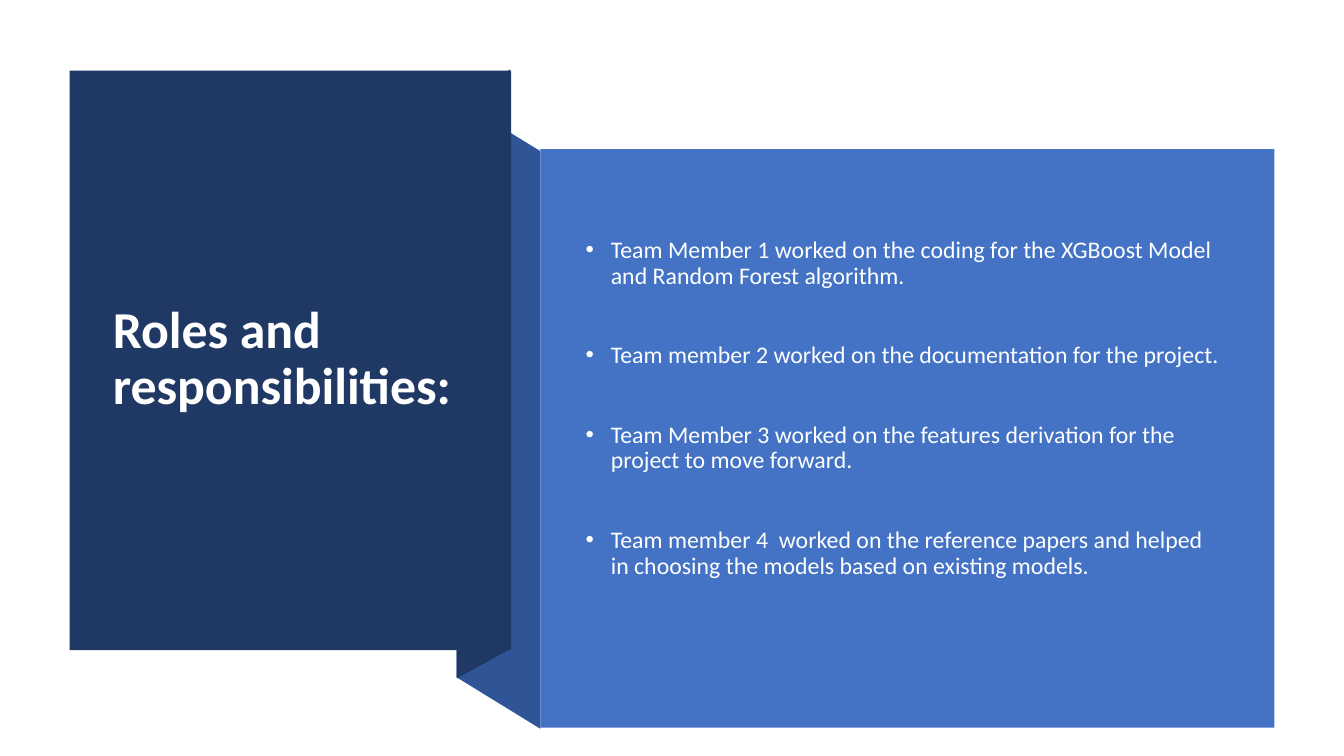
import pptx
import pptx.dml.color
import pptx.enum.text
import pptx.oxml
import pptx.oxml.ns
import pptx.util
from pptx.enum.shapes import MSO_SHAPE
from pptx.util import Inches

NAVY = "203864"
FOLD_BLUE = "2F5597"
PANEL_BLUE = "4472C4"
WHITE = "FFFFFF"
BODY_WHITE = "FEFFFF"


def color(value):
    return pptx.dml.color.RGBColor.from_string(value)


def write(para, text, *, font, size, fill, bold=False, before=0, bullet=False):
    para.line_spacing = 0.9
    para.space_before = pptx.util.Pt(before)
    span = para.add_run()
    span.text = text
    span.font.name = font
    span.font.size = pptx.util.Pt(size)
    span.font.bold = bold
    span.font.color.rgb = color(fill)
    if bullet:
        properties = para._p.get_or_add_pPr()
        properties.set("marL", str(Inches(0.25)))
        properties.set("indent", str(Inches(-0.25)))
        namespace = pptx.oxml.ns.nsdecls("a")
        for markup in ('buFont {} typeface="Arial"', 'buChar {} char="•"'):
            properties.append(pptx.oxml.parse_xml("<a:" + markup.format(namespace) + "/>"))


class SlideBuilder:
    def __init__(self, page, font):
        self.page = page
        self.font = font

    def finish(self, shape, fill):
        shape.shadow.inherit = False
        shape.fill.solid()
        shape.fill.fore_color.rgb = color(fill)
        shape.line.fill.background()

    def outline(self, points, fill):
        corners = [(Inches(x), Inches(y)) for x, y in points]
        builder = self.page.shapes.build_freeform(*corners[0])
        builder.add_line_segments(corners[1:], close=True)
        self.finish(builder.convert_to_shape(), fill)

    def panel(self, left, top, width, height, fill):
        place = map(Inches, (left, top, width, height))
        self.finish(self.page.shapes.add_shape(MSO_SHAPE.RECTANGLE, *place), fill)

    def text(self, left, top, width, height, lines, *, gap=0, bottom=0.05, **style):
        place = map(Inches, (left, top, width, height))
        frame = self.page.shapes.add_textbox(*place).text_frame
        frame.word_wrap = True
        frame.vertical_anchor = pptx.enum.text.MSO_ANCHOR.MIDDLE
        frame.margin_bottom = Inches(bottom)
        for index, line in enumerate(lines):
            para = frame.add_paragraph() if index else frame.paragraphs[0]
            write(para, line, font=self.font, before=gap if index else 0, **style)


deck = pptx.Presentation()
deck.slide_width = Inches(13.33)
deck.slide_height = Inches(7.5)
slide = SlideBuilder(deck.slides.add_slide(deck.slide_layouts[6]), "Calibri")

slide.outline([(5.36, 7.23), (4.53, 6.72), (4.53, 0.99), (5.36, 1.5)], FOLD_BLUE)
slide.outline([(5.06, 6.44), (4.53, 6.73), (4.53, 0.98), (5.06, 0.69)], NAVY)
slide.panel(0.69, 0.7, 4.38, 5.75, NAVY)
slide.text(1.02, 1.07, 3.71, 4.99, ["Roles and responsibilities:"],
           size=37, fill=WHITE, bold=True)

roles = [
    "Team Member 1 worked on the coding for the XGBoost Model and Random Forest algorithm.",
    "Team member 2 worked on the documentation for the project.",
    "Team Member 3 worked on the features derivation for the project to move forward.",
    "Team member 4  worked on the reference papers and helped in choosing the models "
    "based on existing models.",
]
slide.panel(5.36, 1.48, 7.28, 5.74, PANEL_BLUE)
slide.text(5.71, 1.88, 6.51, 4.74, roles, gap=38.4, bottom=0.44,
           size=17, fill=BODY_WHITE, bullet=True)

deck.save("out.pptx")
